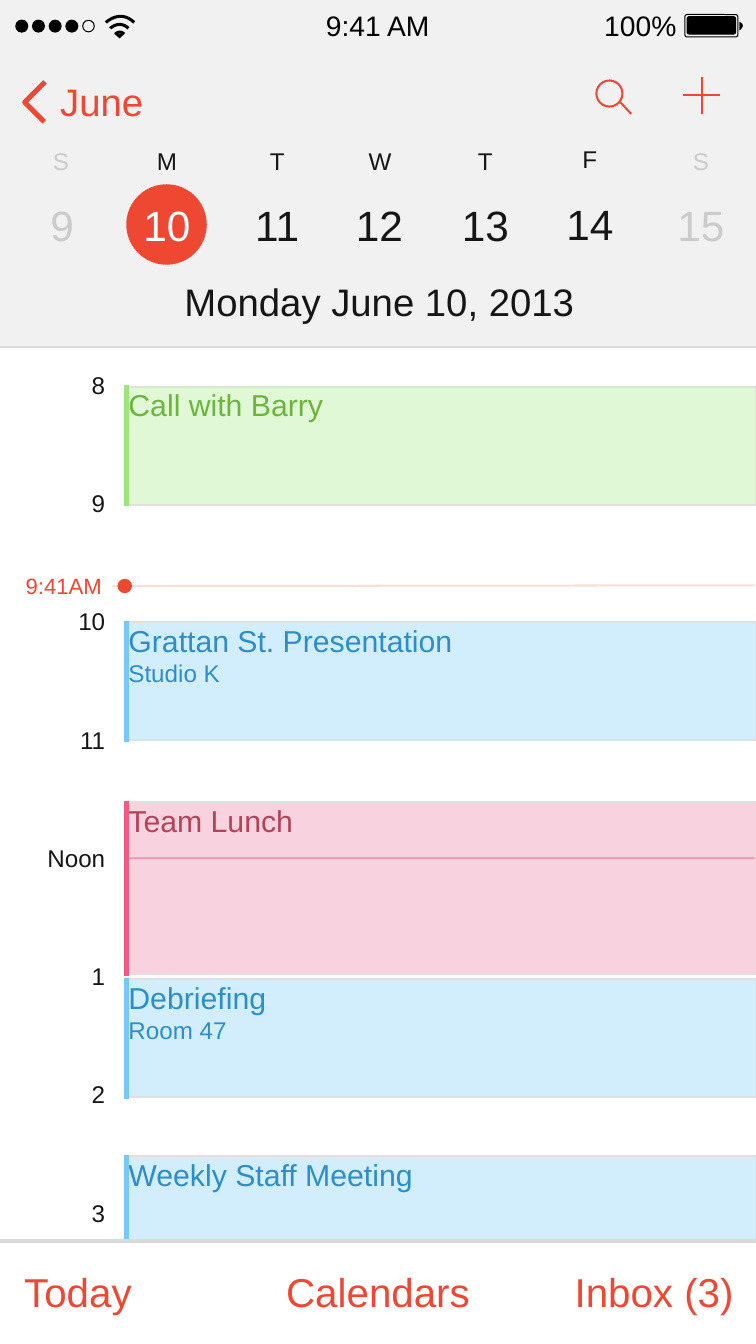
import lxml.etree
import pptx
import pptx.dml.color
import pptx.enum.shapes
import pptx.enum.text
import pptx.oxml.ns
import pptx.util
from dataclasses import dataclass

Inches = pptx.util.Inches
Kind = pptx.enum.shapes.MSO_SHAPE
Align = pptx.enum.text.PP_ALIGN
Anchor = pptx.enum.text.MSO_ANCHOR
Auto = pptx.enum.text.MSO_AUTO_SIZE

TITLE = "Monday June 10, 2013"
DAYS = [("S", "9", 0.84), ("M", "10", 2.3), ("T", "11", 3.82), ("W", "12", 5.23),
        ("T", "13", 6.69), ("F", "14", 8.13), ("S", "15", 9.66)]
HOURS = ["8", "9", "10", "11", "Noon", "1", "2", "3"]
EVENTS = [
    (5.33, 1.63, "green", ["Call with Barry"]),
    (8.58, 1.63, "blue", ["Grattan St. Presentation", "Studio K"]),
    (11.06, 2.37, "pink", ["Team Lunch"]),
    (13.5, 1.63, "blue", ["Debriefing", "Room 47"]),
    (15.94, 1.63, "blue", ["Weekly Staff Meeting"]),
]
TABS = [("Today", 0.26, 1.63), ("Calendars", 3.86, 2.7), ("Inbox (3)", 7.86, 2.31)]
TONES = {
    "green": ("E0F8D5", "9DE57A", "6BB53F"),
    "blue": ("D2EEFD", "78C7FA", "2C8EC9"),
    "pink": ("F8D3DF", "ED5C85", "B44259"),
}
WAVES = [(1.46, 1.85, 0.31, 0.12), (1.52, 1.77, 0.39, 0.27), (1.59, 1.71, 0.47, 0.41)]
WIDE, HIGH = 10.42, 18.53
STEP = 1.63


@dataclass
class Theme:
    font: str = "Arial"
    red: str = "EF4832"
    ink: str = "161616"
    dim: str = "CBCBCB"
    black: str = "000000"
    white: str = "FFFFFF"
    head: str = "E5E5E5"
    rule: str = "DADADA"
    edge: str = "E0E0E0"
    now: str = "FBDDD8"
    noon: str = "EF6A8F"
    date: int = 42
    tab: int = 40
    title: int = 38
    event: int = 30
    bar: int = 28
    small: int = 24
    tiny: int = 22


look = Theme()
deck = pptx.Presentation()
deck.slide_width, deck.slide_height = Inches(WIDE), Inches(HIGH)
slide = deck.slides.add_slide(deck.slide_layouts[5])
shapes = slide.shapes


def rgb(tone):
    return pptx.dml.color.RGBColor.from_string(tone)


def fade(shape, part):
    for tone in shape.element.spPr.iter(pptx.oxml.ns.qn("a:srgbClr")):
        lxml.etree.SubElement(tone, pptx.oxml.ns.qn("a:alpha")).set("val", str(part * 1000))


def paint(shape, fill=None, edge=None, weight=1):
    shape.shadow.inherit = False
    if fill:
        shape.fill.solid()
        shape.fill.fore_color.rgb = rgb(fill)
    else:
        shape.fill.background()
    if edge:
        shape.line.color.rgb = rgb(edge)
        shape.line.width = pptx.util.Pt(weight)
    else:
        shape.line.fill.background()
    return shape


def block(kind, x, y, w, h, *style):
    return paint(shapes.add_shape(kind, Inches(x), Inches(y), Inches(w), Inches(h)), *style)


def trace(spots, close, *style):
    spots = [(Inches(x), Inches(y)) for x, y in spots]
    form = shapes.build_freeform(*spots[0])
    form.add_line_segments(spots[1:], close=close)
    return paint(form.convert_to_shape(), *style)


def curve(start, pull, end, count=16):
    steps = [i / count for i in range(count + 1)]
    return [tuple(((1 - t) ** 3 + 3 * t * (1 - t) ** 2) * a + 3 * t * t * (1 - t) * b + t ** 3 * c
                  for a, b, c in zip(start, pull, end)) for t in steps]


def line(x1, y1, x2, y2, tone, weight):
    link = shapes.add_connector(pptx.enum.shapes.MSO_CONNECTOR.STRAIGHT,
                                Inches(x1), Inches(y1), Inches(x2), Inches(y2))
    link.line.color.rgb = rgb(tone)
    link.line.width = pptx.util.Pt(weight)
    lxml.etree.SubElement(link.element.spPr, pptx.oxml.ns.qn("a:effectLst"))
    return link


def pad(frame, size):
    frame.margin_left = frame.margin_right = Inches(size)
    frame.margin_top = frame.margin_bottom = Inches(size)


def write(para, words, size, tone, align):
    para.alignment = align
    run = para.add_run()
    run.text = words
    run.font.name = look.font
    run.font.size = pptx.util.Pt(size)
    run.font.color.rgb = rgb(tone)


def label(words, x, y, w, size, tone, align=Align.CENTER, box=None):
    box = box or shapes.add_textbox(0, 0, 0, 0)
    box.left, box.top, box.width = Inches(x), Inches(y), Inches(w)
    box.height = Inches(round(size * 1.15 / 72 + 0.11, 2))
    frame = box.text_frame
    frame.word_wrap = False
    frame.auto_size = Auto.SHAPE_TO_FIT_TEXT
    frame.vertical_anchor = Anchor.MIDDLE
    pad(frame, 0.05)
    write(frame.paragraphs[0], words, size, tone, align)


def status():
    for i in range(4):
        block(Kind.OVAL, 0.21 + 0.23 * i, 0.27, 0.18, 0.18, look.black)
    block(Kind.OVAL, 1.14, 0.28, 0.16, 0.16, None, look.black)
    for left, right, base, peak in WAVES:
        trace(curve((left, base), ((left + right) / 2, peak), (right, base)),
              False, None, look.black, 3)
    trace([(1.58, 0.47), (1.71, 0.47), (1.65, 0.53)], True, look.black)
    label("9:41 AM", 4.42, 0.07, 1.57, look.bar, look.black)
    label("100%", 8.27, 0.07, 1.11, look.bar, look.black)
    for x, y, w, h, bend, fill in [(9.44, 0.2, 0.73, 0.31, 0.1, None),
                                   (9.47, 0.23, 0.67, 0.24, 0.12, look.black)]:
        block(Kind.ROUNDED_RECTANGLE, x, y, w, h, fill, look.black).adjustments[0] = bend
    trace(curve((10.19, 0.42), (10.3, 0.35), (10.19, 0.3)), True, look.black)


def header():
    fade(block(Kind.RECTANGLE, 0, 0, WIDE, 4.79, look.head), 50)
    title = shapes.title
    title.element.getparent().append(title.element)
    label(TITLE, 2.42, 3.79, 5.62, look.title, look.ink, box=title)
    status()
    label("June", 0.78, 1.03, 1.28, look.title, look.red, Align.LEFT)
    trace([(0.62, 1.13), (0.34, 1.41), (0.61, 1.68)], False, None, look.red, 5)
    block(Kind.OVAL, 8.22, 1.11, 0.36, 0.36, None, look.red, 2)
    for ends in [(8.55, 1.41, 8.7, 1.57), (9.67, 1.06, 9.67, 1.57), (9.41, 1.31, 9.92, 1.31)]:
        line(*ends, look.red, 2)
    block(Kind.OVAL, 1.74, 2.54, 1.11, 1.11, look.red)
    for day, date, mid in DAYS:
        tone = look.dim if day == "S" else look.ink
        lift = 0.02 if day == "F" else 0
        wide = 0.39 * len(date)
        label(day, mid - 0.2, 1.97 - lift, 0.4, look.small, tone)
        label(date, mid - wide / 2, 2.7 - lift / 2, wide, look.date,
              look.white if date == "10" else tone)
    line(0, 4.78, WIDE, 4.78, look.rule, 2)


def agenda():
    for i, hour in enumerate(HOURS):
        wide = {1: 0.3, 2: 0.49, 4: 0.94}[len(hour)]
        label(hour, 1.5 - wide, 5.06 + STEP * i, wide, look.small, look.ink, Align.RIGHT)
    for top, tall, tone, rows in EVENTS:
        fill, side, ink = TONES[tone]
        card = block(Kind.RECTANGLE, 1.77, top, WIDE - 1.77, tall, fill, look.edge, 2)
        frame = card.text_frame
        frame.vertical_anchor = Anchor.TOP
        pad(frame, 0)
        for i, words in enumerate(rows):
            para = frame.add_paragraph() if i else frame.paragraphs[0]
            write(para, words, look.small if i else look.event, ink, Align.LEFT)
        line(1.75, top - 0.02, 1.75, top + tall + 0.02, side, 5)
    fade(line(1.76, 11.83, 10.4, 11.83, look.noon, 2), 50)
    line(1.55, 8.08, 10.4, 8.07, look.now, 2)
    block(Kind.OVAL, 1.62, 7.98, 0.2, 0.2, look.red)
    label("9:41AM", 0.26, 7.84, 1.24, look.tiny, look.red)


def footer():
    block(Kind.RECTANGLE, 0, 17.14, WIDE, HIGH - 17.14, look.white)
    for words, x, w in TABS:
        label(words, x, 17.43, w, look.tab, look.red)
    line(0, 17.11, WIDE, 17.11, look.rule, 3)


if __name__ == "__main__":
    header()
    agenda()
    footer()
    deck.save("out.pptx")
